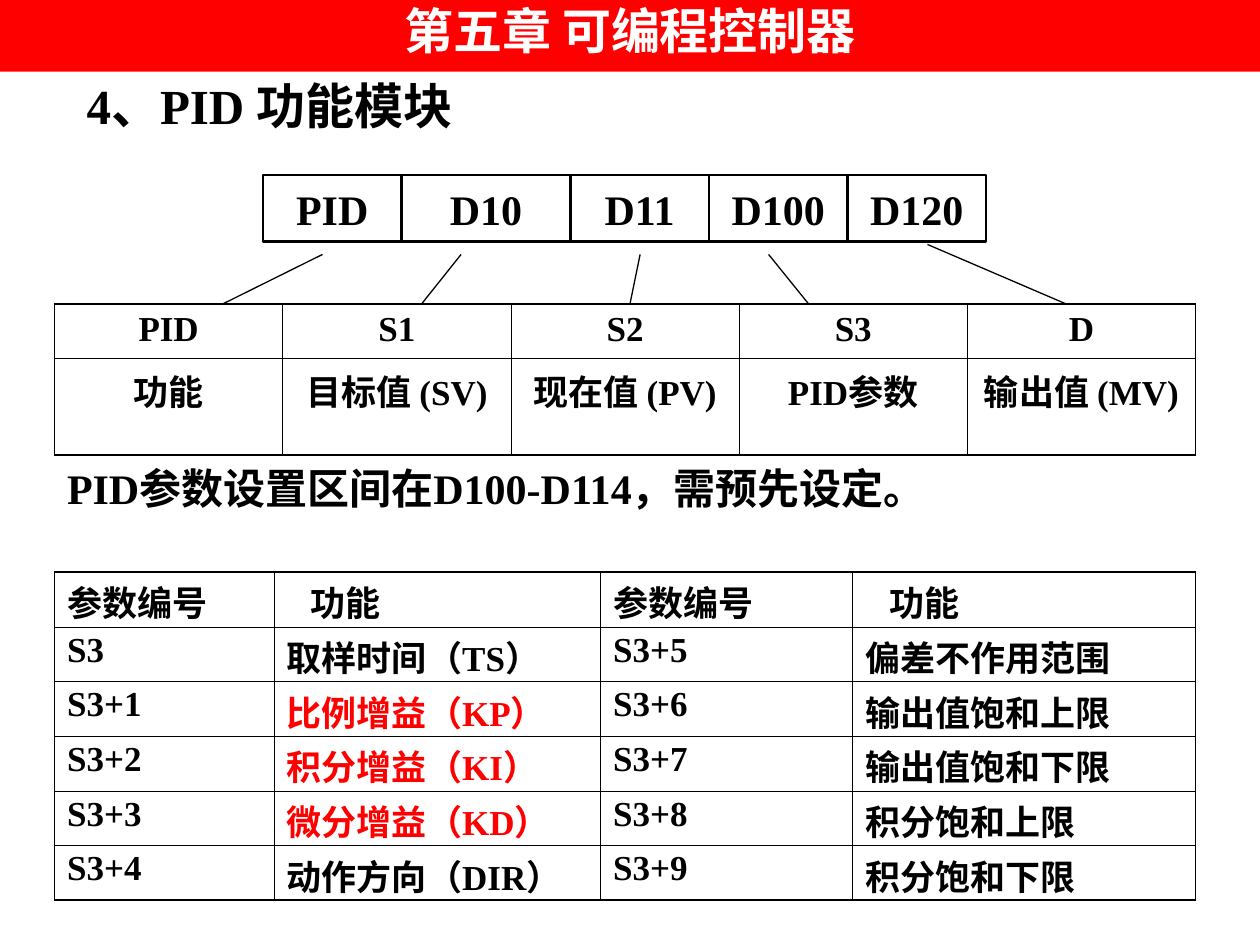
from dataclasses import dataclass
from itertools import accumulate

from lxml import etree
from pptx import Presentation
from pptx.dml.color import RGBColor
from pptx.enum import shapes as sh, text as tx
from pptx.oxml import ns
from pptx.util import Pt

BLACK = RGBColor(0, 0, 0)
WHITE = RGBColor(255, 255, 255)
RED = RGBColor(255, 0, 0)
LATIN, HAN = "Times New Roman", "Noto Sans CJK SC"
THICK, THIN = 1.08, 0.45
LEFT = tx.PP_ALIGN.LEFT
MID = tx.PP_ALIGN.CENTER


@dataclass
class Box:
    label: str
    width: float


@dataclass
class Link:
    x1: float
    y1: float
    x2: float


@dataclass
class Grid:
    top: float
    cols: list[float]
    rows: list[float]
    cells: list[list[str]]
    align: tx.PP_ALIGN
    pad: float


BOXES = [Box("PID", 79.2), Box("D10", 96.4), Box("D11", 79.2),
         Box("D100", 79.2), Box("D120", 79.2)]
BOX_LEFT, BOX_TOP, BOX_HIGH = 150.3, 100, 38.2

GRID_LEFT = 31.2
USE = Grid(173.6, [130.4] * 5, [31.2, 55.4], [
    ["PID", "S1", "S2", "S3", "D"],
    ["功能", "目标值 (SV)", "现在值 (PV)", "PID参数", "输出值 (MV)"],
], MID, 3.6)
PARAMS = Grid(327, [125.5, 186.5, 144, 196], [31.2] * 6, [
    ["参数编号", "功能", "参数编号", "功能"],
    ["S3", "取样时间（TS）", "S3+5", "偏差不作用范围"],
    ["S3+1", "比例增益（KP）", "S3+6", "输出值饱和上限"],
    ["S3+2", "积分增益（KI）", "S3+7", "输出值饱和下限"],
    ["S3+3", "微分增益（KD）", "S3+8", "积分饱和上限"],
    ["S3+4", "动作方向（DIR）", "S3+9", "积分饱和下限"],
], LEFT, 2.2)
LINKS = [Link(184.3, 145.4, 127.5), Link(263.5, 145.4, 241),
         Link(365.8, 145.4, 360), Link(439.2, 145.4, 462),
         Link(530, 139.7, 609)]


def write(frame, words: str, size: float, color=BLACK, align=LEFT) -> None:
    frame.text = words
    para = frame.paragraphs[0]
    para.alignment = align
    for run in para.runs:
        font = run.font
        font.size, font.bold, font.name = Pt(size), True, LATIN
        font.color.rgb = color
        east = etree.SubElement(run._r.get_or_add_rPr(), ns.qn("a:ea"))
        east.set("typeface", HAN)


def pack(frame) -> None:
    """Pin the text to the top of its frame, without vertical insets."""
    frame.auto_size = tx.MSO_AUTO_SIZE.NONE
    frame.word_wrap = True
    frame.vertical_anchor = tx.MSO_ANCHOR.TOP
    frame.margin_top = frame.margin_bottom = 0


def add_note(slide, words: str, left: float, top: float, width: float,
             height: float, size: float) -> None:
    note = slide.shapes.add_textbox(Pt(left), Pt(top), Pt(width), Pt(height))
    pack(note.text_frame)
    write(note.text_frame, words, size)


def add_box(slide, box: Box, left: float) -> None:
    rect = slide.shapes.add_shape(sh.MSO_SHAPE.RECTANGLE, Pt(left), Pt(BOX_TOP),
                                  Pt(box.width), Pt(BOX_HIGH))
    rect.shadow.inherit = False
    rect.fill.background()
    rect.line.color.rgb = BLACK
    rect.line.width = Pt(1.5)
    rect.text_frame.word_wrap = False
    rect.text_frame.vertical_anchor = tx.MSO_ANCHOR.MIDDLE
    write(rect.text_frame, box.label, 24, align=MID)


def add_link(slide, link: Link) -> None:
    line = slide.shapes.add_connector(
        sh.MSO_CONNECTOR.STRAIGHT, Pt(link.x1), Pt(link.y1),
        Pt(link.x2), Pt(USE.top))
    line.line.color.rgb = BLACK
    line.line.width = Pt(0.75)
    etree.SubElement(line._element.spPr, ns.qn("a:effectLst"))


def rule(cell, sides: dict[str, float]) -> None:
    """Draw the cell's borders, given as side tag and width."""
    props = cell._tc.get_or_add_tcPr()
    for side, width in sides.items():
        edge = etree.SubElement(props, ns.qn(f"a:{side}"), w=str(Pt(width)))
        fill = etree.SubElement(edge, ns.qn("a:solidFill"))
        etree.SubElement(fill, ns.qn("a:srgbClr"), val=str(BLACK))


def add_grid(slide, grid: Grid) -> None:
    high, wide = len(grid.rows), len(grid.cols)
    table = slide.shapes.add_table(
        high, wide, Pt(GRID_LEFT), Pt(grid.top),
        Pt(sum(grid.cols)), Pt(sum(grid.rows))).table
    table.first_row = table.horz_banding = False
    for col, width in zip(table.columns, grid.cols):
        col.width = Pt(width)
    for row, height in zip(table.rows, grid.rows):
        row.height = Pt(height)
    for r, line in enumerate(grid.cells):
        for c, words in enumerate(line):
            cell = table.cell(r, c)
            outer = {"lnL": c == 0, "lnR": c == wide - 1,
                     "lnT": r == 0, "lnB": r == high - 1}
            rule(cell, {k: THICK if out else THIN for k, out in outer.items()})
            cell.fill.background()
            cell.margin_top, cell.margin_bottom = Pt(grid.pad), 0
            gain = "增益" in words
            write(cell.text_frame, words, 20, RED if gain else BLACK, grid.align)
            if grid.align == LEFT and words == "功能":
                props = cell.text_frame.paragraphs[0]._p.get_or_add_pPr()
                props.set("marL", str(Pt(13.7)))


def main() -> None:
    deck = Presentation()
    deck.slide_width, deck.slide_height = Pt(720), Pt(540)
    slide = deck.slides.add_slide(deck.slide_layouts[5])

    title = slide.shapes.title
    title.left, title.top, title.width, title.height = 0, 0, Pt(720), Pt(41)
    title.fill.solid()
    title.fill.fore_color.rgb = RED
    pack(title.text_frame)
    write(title.text_frame, "第五章 可编程控制器", 28, WHITE, MID)

    add_note(slide, "4、PID 功能模块", 42.5, 43.2, 329, 41, 28)
    add_grid(slide, USE)
    lefts = accumulate((box.width for box in BOXES), initial=BOX_LEFT)
    for box, left in zip(BOXES, lefts):
        add_box(slide, box, left)
    for link in LINKS:
        add_link(slide, link)
    add_grid(slide, PARAMS)
    add_note(slide, "PID参数设置区间在D100-D114，需预先设定。",
             GRID_LEFT, 264.2, 652, 36, 24)
    deck.save("out.pptx")


if __name__ == "__main__":
    main()
